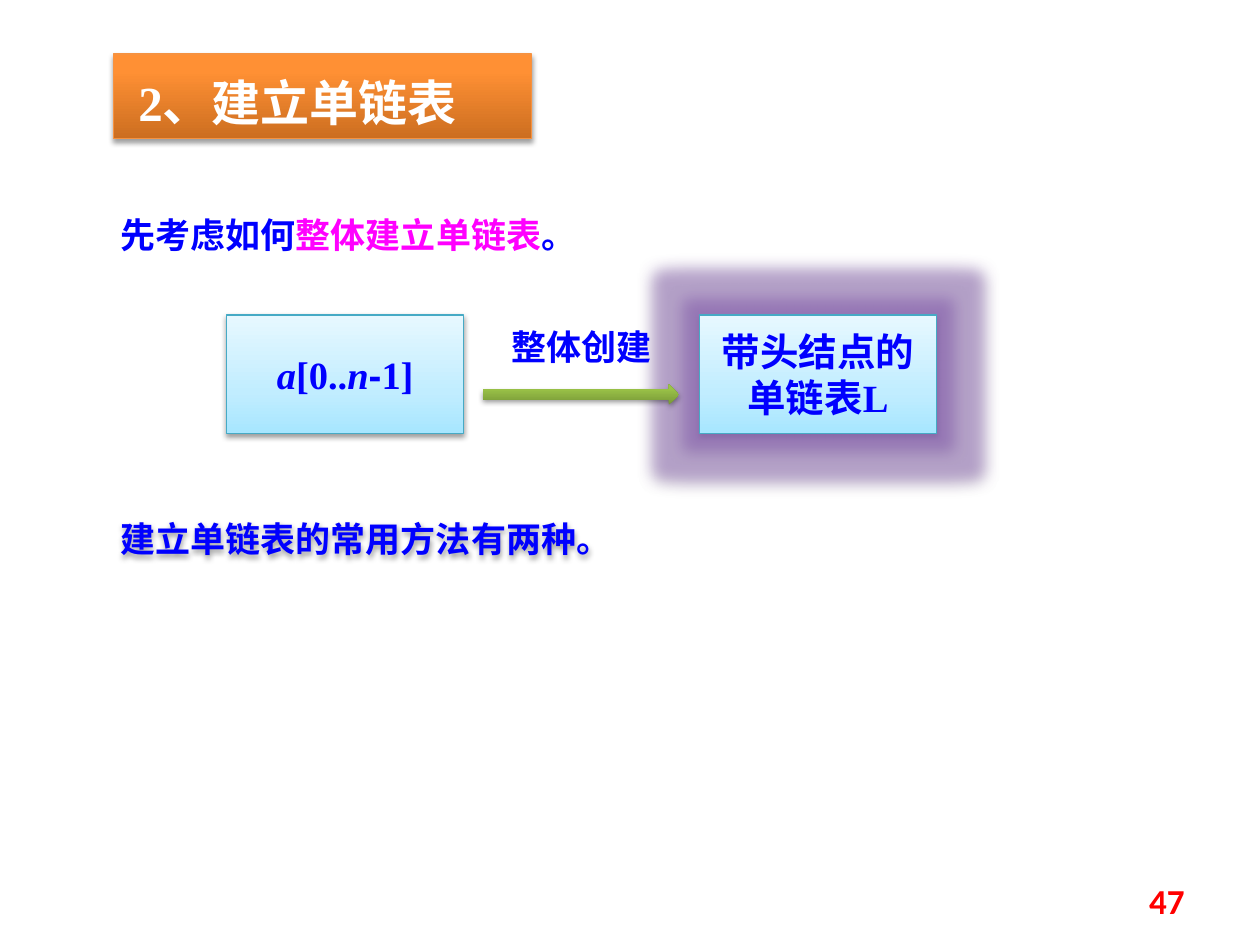
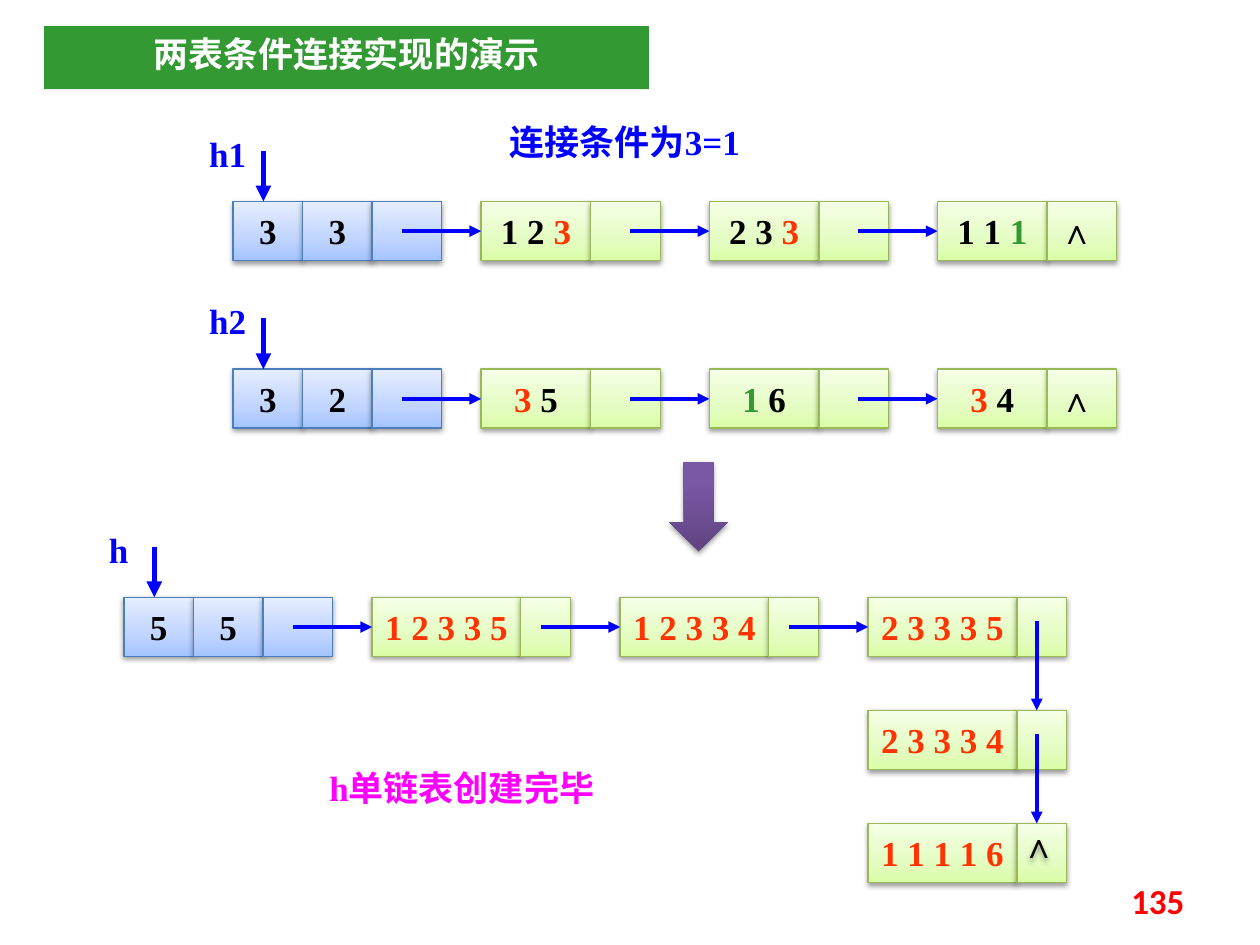
import pptx
import pptx.util
import pptx.dml.color
import pptx.enum.shapes
import pptx.enum.text
import pptx.oxml.ns
from lxml import etree

Cm, Pt = pptx.util.Cm, pptx.util.Pt
RGBColor = pptx.dml.color.RGBColor
qn = pptx.oxml.ns.qn
SHAPE = pptx.enum.shapes.MSO_SHAPE
ALIGN = pptx.enum.text.PP_ALIGN
ANCHOR = pptx.enum.text.MSO_ANCHOR

WHITE = RGBColor(0xFF, 0xFF, 0xFF)
BLACK = RGBColor(0x00, 0x00, 0x00)
BLUE = RGBColor(0x00, 0x00, 0xFF)
PINK = RGBColor(0xFF, 0x00, 0xFF)
RED = RGBColor(0xFF, 0x00, 0x00)
FLAME = RGBColor(0xFF, 0x33, 0x00)
GREEN = RGBColor(0x33, 0x99, 0x33)
GLOW = RGBColor(0x7F, 0x4F, 0xB0)
ROMAN, SANS = "Times New Roman", "Noto Sans CJK SC"


def blend(cuts, *tones):
    """Pair stop positions with colours, from the bottom up."""
    return [(cut, RGBColor.from_string(tone)) for cut, tone in zip(cuts, tones)]


SOFT, DEEP = (0, 35, 100), (0, 80, 100)
SKY = blend(SOFT, "A7E6FF", "C1EDFF", "E7F8FF"), RGBColor(0x46, 0xAA, 0xC5)
HEAD = blend(SOFT, "A4C4FF", "BFD4FF", "E6EEFF"), RGBColor(0x4B, 0x7E, 0xBC)
NODE = blend(SOFT, "DAFDA7", "E4FCC2", "F5FFE7"), RGBColor(0x98, 0xB9, 0x55)
AMBER = blend(DEEP, "CC6E20", "FF9034", "FF9136"), RGBColor(0xF6, 0x92, 0x40)
LEAF = blend(DEEP, "779737", "9BC348", "9DC746"), None
PLUM = blend(DEEP, "5F4480", "7B58A6", "7C57A8"), None
FLAT = GREEN, None

# Linked list measures in cm
CELL, HIGH = 1.4, 1.19
REACH, DROP = 1.6, 1.8


def write(frame, text, size=20, font=ROMAN, color=BLUE, align=ALIGN.CENTER,
          anchor=ANCHOR.TOP, wrap=True, space=None, pad=None):
    """Write one paragraph; text is a string or a list of (string, changes)."""
    frame.word_wrap = wrap
    frame.vertical_anchor = anchor
    if pad is not None:
        (frame.margin_left, frame.margin_top,
         frame.margin_right, frame.margin_bottom) = [Cm(side) for side in pad]
    para = frame.paragraphs[0]
    para.alignment = align
    if space:
        para.line_spacing = space
    for part, change in [(text, {})] if isinstance(text, str) else text:
        run = para.add_run()
        run.text = part
        run.font.size = Pt(size)
        run.font.bold = True
        run.font.italic = change.get("slant", False)
        run.font.name = change.get("font", font)
        run.font.color.rgb = change.get("color", color)
        east = etree.SubElement(run.font._element, qn("a:ea"))
        east.set("typeface", SANS)


def tint(*pairs):
    """Turn (string, colour) pairs into parts for write."""
    return [(part, {"color": color}) for part, color in pairs]


class Deck:
    def __init__(self):
        self.show = pptx.Presentation()
        self.show.slide_width, self.show.slide_height = Cm(25.4), Cm(19.05)
        self.slide = None

    def page(self, number):
        self.slide = self.show.slides.add_slide(self.show.slide_layouts[6])
        self.label(number, 18.21, 17.65, 5.92, 1.02, font="Calibri", color=RED,
                   align=ALIGN.RIGHT, anchor=ANCHOR.MIDDLE)

    def effect(self, shape, kind, color, alpha, **sizes):
        """Add a shadow or glow to a shape."""
        item = etree.SubElement(shape.element.spPr.find(qn("a:effectLst")), qn(kind))
        for key, value in sizes.items():
            item.set(key, str(value))
        paint = etree.SubElement(item, qn("a:srgbClr"), val=str(color))
        etree.SubElement(paint, qn("a:alpha"), val=str(alpha * 1000))

    def shade(self, shape, alpha=38, blur=3.1, dist=1.6):
        self.effect(shape, "a:outerShdw", BLACK, alpha, blurRad=Pt(blur),
                    dist=Pt(dist), dir=5400000, algn="t", rotWithShape=0)

    def label(self, text, x, y, wide, high, shade=False, **style):
        box = self.slide.shapes.add_textbox(Cm(x), Cm(y), Cm(wide), Cm(high))
        write(box.text_frame, text, **style)
        if shade:
            box.shadow.inherit = False
            self.shade(box)

    def block(self, x, y, wide, high, look, text=None, form=SHAPE.RECTANGLE,
              glow=0, **style):
        fill, edge = look
        shape = self.slide.shapes.add_shape(form, Cm(x), Cm(y), Cm(wide), Cm(high))
        shape.shadow.inherit = False
        if glow:
            self.effect(shape, "a:glow", GLOW, 40, rad=Pt(glow))
        if isinstance(fill, list):
            shape.fill.gradient()
            shape.fill.gradient_angle = 90
            stops = shape.element.spPr.find(qn("a:gradFill")).find(qn("a:gsLst"))
            stops.clear()
            for cut, color in fill:
                stop = etree.SubElement(stops, qn("a:gs"), pos=str(cut * 1000))
                etree.SubElement(stop, qn("a:srgbClr"), val=str(color))
            self.shade(shape)
        else:
            shape.fill.solid()
            shape.fill.fore_color.rgb = fill
        if edge:
            shape.line.color.rgb = edge
            shape.line.width = Pt(0.75)
        else:
            shape.line.fill.background()
        if text:
            write(shape.text_frame, text, **style)

    def arrow(self, x, y, right, low, width=2.25):
        line = self.slide.shapes.add_connector(
            pptx.enum.shapes.MSO_CONNECTOR.STRAIGHT, Cm(x), Cm(y), Cm(right), Cm(low))
        line.line.color.rgb = BLUE
        line.line.width = Pt(width)
        etree.SubElement(line.line._get_or_add_ln(), qn("a:tailEnd"), type="triangle")
        etree.SubElement(line.element.spPr, qn("a:effectLst"))

    def cell(self, x, y, wide, look, text=None, **style):
        self.block(x, y, wide, HIGH, look, text, color=BLACK,
                   anchor=ANCHOR.MIDDLE, wrap=False, **style)

    def head(self, name, x, y, counts):
        """Head node: two counts, a link field and the named pointer."""
        for i, count in enumerate([*counts, None]):
            self.cell(x + i * CELL, y, CELL, HEAD, count)
        self.arrow(x + 0.61, y - 1.02, x + 0.61, y, width=3)
        self.label(name, x - 0.81, y - 1.52, CELL, 1.09)

    def node(self, x, y, text, data, link, down=False, end=None):
        """Data node with its link field and the arrow that leads to it."""
        self.cell(x, y, data, NODE, text)
        self.cell(x + data, y, link, NODE, end, pad=(0.25, 0.13, 0.45, 0.13))
        if down:
            mid = x + data + 0.4
            self.arrow(mid, y - DROP, mid, y)
        else:
            self.arrow(x - REACH, y + 0.6, x, y + 0.6)


def build_plan(deck):
    deck.page("47")
    deck.block(2.29, 1.09, 8.43, 1.7, AMBER, "2、建立单链表", size=28, color=WHITE,
               align=ALIGN.LEFT, space=1.2, pad=(0.5, 0.13, 0.25, 0.13))
    deck.label(tint(("先考虑如何", BLUE), ("整体建立单链表", PINK), ("。", BLUE)),
               2.18, 3.76, 11.99, 1.8, align=ALIGN.LEFT, space=1.5)

    # Array to linked list
    slant = {"slant": True}
    array = [("a", slant), ("[0..", {}), ("n", slant), ("-", {"font": "Arial"}), ("1]", {})]
    for x, text, glow in ((4.57, array, 0), (14.1, "带头结点的单链表L", 18)):
        deck.block(x, 6.35, 4.78, 2.39, SKY, text, size=22, anchor=ANCHOR.MIDDLE, glow=glow)
    deck.block(9.73, 7.75, 3.96, 0.41, LEAF, form=SHAPE.RIGHT_ARROW)
    deck.label("整体创建", 9.93, 6.43, 3.58, 1.12, font=SANS)

    deck.label("建立单链表的常用方法有两种。", 2.18, 10.31, 12.7, 1.27,
               shade=True, align=ALIGN.LEFT)


def build_join(deck):
    deck.page("135")
    deck.block(0.89, 0.53, 12.19, 1.27, FLAT, "两表条件连接实现的演示", font=SANS, color=WHITE)
    deck.label("连接条件为3=1", 9.7, 2.31, 5.79, 1.09)

    # Source lists
    tables = (
        ("h1", 4.06, "33", (tint(("1 2 ", BLACK), ("3", FLAME)),
                            tint(("2 3 ", BLACK), ("3", FLAME)),
                            tint(("1 1 ", BLACK), ("1", GREEN)))),
        ("h2", 7.44, "32", (tint(("3", FLAME), (" 5", BLACK)),
                            tint(("1", GREEN), (" 6", BLACK)),
                            tint(("3", FLAME), (" 4", BLACK)))),
    )
    for name, y, counts, rows in tables:
        deck.head(name, 4.7, y, counts)
        for i, row in enumerate(rows):
            last = i == len(rows) - 1
            deck.node(9.7 + i * 4.6, y, row, 2.21, CELL, end="∧" if last else None)
    deck.block(13.49, 9.32, 1.19, 1.8, PLUM, form=SHAPE.DOWN_ARROW)

    # Joined list: three nodes across, then two down
    top = 12.04
    deck.head("h", 2.5, top, "55")
    rows = ("1 2 3 3 5", "1 2 3 3 4", "2 3 3 3 5", "2 3 3 3 4", "1 1 1 1 6")
    for i, row in enumerate(rows):
        deck.node(7.5 + min(i, 2) * 5, top + max(i - 2, 0) * 2.28,
                  tint((row, FLAME)), 3, 1, down=i > 2)
    deck.label("∧", 20.55, 16.61, 0.79, 0.86, shade=True, color=BLACK, pad=(0, 0, 0, 0))
    deck.label("h单链表创建完毕", 5.31, 15.32, 8, 1.27, color=PINK)


def main():
    deck = Deck()
    build_plan(deck)
    build_join(deck)
    deck.show.save("out.pptx")


if __name__ == "__main__":
    main()
